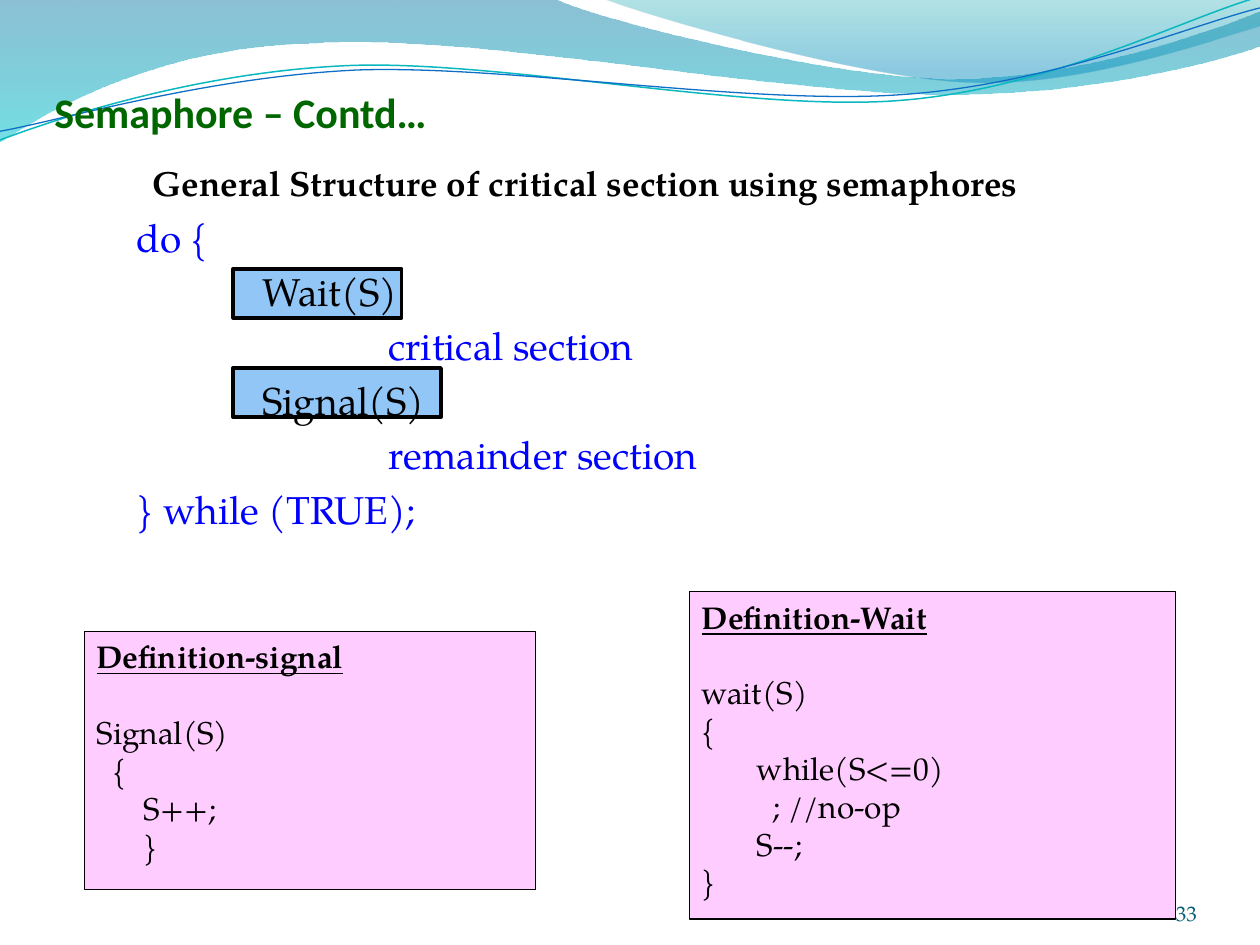
import pptx
import pptx.dml.color
import pptx.enum.shapes
import pptx.enum.text
import pptx.oxml.ns
import pptx.util
from lxml import etree

Pt = pptx.util.Pt
RGB = pptx.dml.color.RGBColor
ALIGN = pptx.enum.text.PP_ALIGN
ANCHOR = pptx.enum.text.MSO_ANCHOR
qn = pptx.oxml.ns.qn

BLACK = RGB(0x00, 0x00, 0x00)
TITLE_GREEN = RGB(0x00, 0x66, 0x00)
CODE_BLUE = RGB(0x00, 0x00, 0xFF)
HIGHLIGHT = RGB(0x91, 0xC6, 0xF7)
PINK = RGB(0xFF, 0xCC, 0xFF)
NUMBER_TEAL = RGB(0x04, 0x5D, 0x75)
DEEP_BLUE = RGB(0x00, 0x74, 0xA1)
CYAN = RGB(0x00, 0xC6, 0xCF)
TEAL = RGB(0x00, 0xA1, 0xA9)
MID_BLUE = RGB(0x00, 0x8B, 0xBF)
LINE_TEAL = RGB(0x0A, 0xB8, 0xBF)
LINE_BLUE = RGB(0x0F, 0x6F, 0xC6)

SERIF = "TeX Gyre Pagella"

# A segment with one point is a straight line, with three a Bezier curve.
WIDE_WAVE = [
    [(0, 0)], [(317, -0.7)],
    [(343, 12), (478, 45), (546, 45)], [(614, 45), (690, 19), (720, 6.5)],
    [(721, 26)],
    [(708, 32), (626, 55), (537, 54)], [(446, 54), (275, 20), (185, 24.5)],
    [(93, 26), (33, 60), (-0.7, 81.4)],
]
RIGHT_WAVE = [
    [(345, -0.7)], [(366, 8), (491, 45), (554, 47)],
    [(616, 50), (692, 23), (720, 15)], [(720, 0)],
]
TEAL_CURVE = [
    [(0, 80)], [(34.5, 67), (114, 41), (199, 37.5)],
    [(284, 34), (427, 64), (513, 57.5)], [(600, 51), (675, 11), (718.5, -1.5)],
]
BLUE_CURVE = [
    [(0, 75)], [(34, 69), (118, 44), (204, 40)],
    [(290, 37), (430, 60.5), (516, 54)], [(602, 48), (678, 15), (720, 4.5)],
]

# Text, nesting level, colour
LOOP = [
    ("do {", 0, CODE_BLUE),
    ("Wait(S)", 1, BLACK),
    ("critical section", 2, CODE_BLUE),
    ("Signal(S)", 1, BLACK),
    ("remainder section", 2, CODE_BLUE),
    ("} while (TRUE);", 0, CODE_BLUE),
]
WAIT_CODE = ["wait(S)", "{", "       while(S<=0)", "         ; //no-op", "       S--;", "}"]
SIGNAL_CODE = ["Signal(S)", "  {", "      S++;", "      }"]


def add_outline(slide, segments, close):
    """Draw all points as lines, then merge each three-point segment into a curve."""
    start, *rest = [(Pt(x), Pt(y)) for segment in segments for x, y in segment]
    builder = slide.shapes.build_freeform(*start, scale=1.0)
    builder.add_line_segments(rest, close=close)
    outline = builder.convert_to_shape()
    outline.shadow.inherit = False
    lines = iter(list(outline.element.iter(qn("a:lnTo"))))
    for segment in segments[1:]:
        parts = [next(lines) for _ in segment]
        if len(parts) == 3:
            curve = etree.Element(qn("a:cubicBezTo"))
            parts[0].addprevious(curve)
            for part in parts:
                curve.append(part[0])
                part.getparent().remove(part)
    return outline


def add_wave(slide, segments, stops):
    """Add a vertical gradient area; stops are (position, colour, opacity %)."""
    wave = add_outline(slide, segments, close=True)
    wave.line.fill.background()
    wave.fill.gradient()
    wave.fill.gradient_angle = 270
    for stop, (position, color, _) in zip(wave.fill.gradient_stops, stops):
        stop.position = position
        stop.color.rgb = color
    color_tags = list(wave.element.iter(qn("a:srgbClr")))
    for tag, (_, _, opacity) in zip(color_tags, stops):
        etree.SubElement(tag, qn("a:alpha"), val=str(opacity * 1000))


def add_curve(slide, segments, color, width):
    curve = add_outline(slide, segments, close=False)
    curve.fill.background()
    curve.line.color.rgb = color
    curve.line.width = Pt(width)


def write(frame, text, *, size, color=BLACK, font=SERIF, bold=False, underline=False,
          align=ALIGN.LEFT, before=0, after=0, indent=0):
    """Fill the empty first paragraph of the frame, or add one after its text."""
    paragraph = frame.add_paragraph() if frame.text else frame.paragraphs[0]
    if indent:
        paragraph._p.get_or_add_pPr().set("marL", str(Pt(indent)))
    paragraph.alignment = align
    paragraph.space_before = Pt(before)
    paragraph.space_after = Pt(after)
    run = paragraph.add_run()
    run.text = text
    run.font.name = font
    run.font.size = Pt(size)
    run.font.bold = bold
    run.font.underline = underline
    run.font.color.rgb = color


def set_frame(shape, anchor=ANCHOR.TOP, insets=(7.2, 3.6, 7.2, 3.6)):
    frame = shape.text_frame
    frame.word_wrap = True
    frame.auto_size = pptx.enum.text.MSO_AUTO_SIZE.NONE
    frame.vertical_anchor = anchor
    (frame.margin_left, frame.margin_top,
     frame.margin_right, frame.margin_bottom) = map(Pt, insets)
    return frame


def add_text_box(slide, left, top, width, height, **frame_format):
    box = slide.shapes.add_textbox(Pt(left), Pt(top), Pt(width), Pt(height))
    return set_frame(box, **frame_format)


def add_box(slide, left, top, width, height, fill, line_width):
    box = slide.shapes.add_shape(pptx.enum.shapes.MSO_SHAPE.RECTANGLE,
                                 Pt(left), Pt(top), Pt(width), Pt(height))
    box.shadow.inherit = False
    box.fill.solid()
    box.fill.fore_color.rgb = fill
    box.line.color.rgb = BLACK
    box.line.width = Pt(line_width)
    return box


def add_definition(slide, left, top, width, height, heading, code):
    frame = set_frame(add_box(slide, left, top, width, height, PINK, 0.75))
    write(frame, heading, size=18, bold=True, underline=True, after=21.7)
    for line in code:
        write(frame, line, size=18)


def place_title(slide, text):
    title = slide.shapes.title
    title.left, title.top, title.width, title.height = map(Pt, (31, 31.7, 648, 46.8))
    frame = set_frame(title, anchor=ANCHOR.BOTTOM, insets=(0, 3.6, 0, 0))
    write(frame, text, size=24, color=TITLE_GREEN, font="Calibri", bold=True)
    # Bring the title in front of the waves.
    title.element.getparent().append(title.element)


def main():
    deck = pptx.Presentation()
    deck.slide_width, deck.slide_height = Pt(720), Pt(540)
    slide = deck.slides.add_slide(deck.slide_layouts[5])

    add_wave(slide, WIDE_WAVE, [(0, DEEP_BLUE, 45), (1, CYAN, 55)])
    add_wave(slide, RIGHT_WAVE, [(0, TEAL, 30), (0.8, MID_BLUE, 45)])
    add_curve(slide, TEAL_CURVE, LINE_TEAL, 0.85)
    add_curve(slide, BLUE_CURVE, LINE_BLUE, 0.75)

    add_box(slide, 133.2, 210.3, 118.8, 28.1, HIGHLIGHT, 2)
    add_box(slide, 133.2, 153.6, 96.3, 28.1, HIGHLIGHT, 2)
    place_title(slide, "Semaphore – Contd…")
    loop = add_text_box(slide, 56.5, 118.3, 449.3, 187.2)
    for row, (text, level, color) in enumerate(LOOP):
        write(loop, text, size=22.2, color=color, indent=14.4 + 72 * level,
              before=4.44 if row else 0)

    subtitle = add_text_box(slide, 20, 95.8, 629.3, 17.3, anchor=ANCHOR.MIDDLE)
    write(subtitle, "General Structure of critical section using semaphores",
          size=20, bold=True, align=ALIGN.CENTER)

    add_definition(slide, 394, 338, 277.9, 187.2, "Definition-Wait", WAIT_CODE)
    add_definition(slide, 48.2, 360.7, 257.8, 147.6, "Definition-signal", SIGNAL_CODE)

    number = add_text_box(slide, 624.2, 500.4, 59.8, 28.8,
                          anchor=ANCHOR.BOTTOM, insets=(0, 0, 0, 0))
    write(number, "33", size=12, color=NUMBER_TEAL, align=ALIGN.RIGHT)

    deck.save("out.pptx")


if __name__ == "__main__":
    main()
